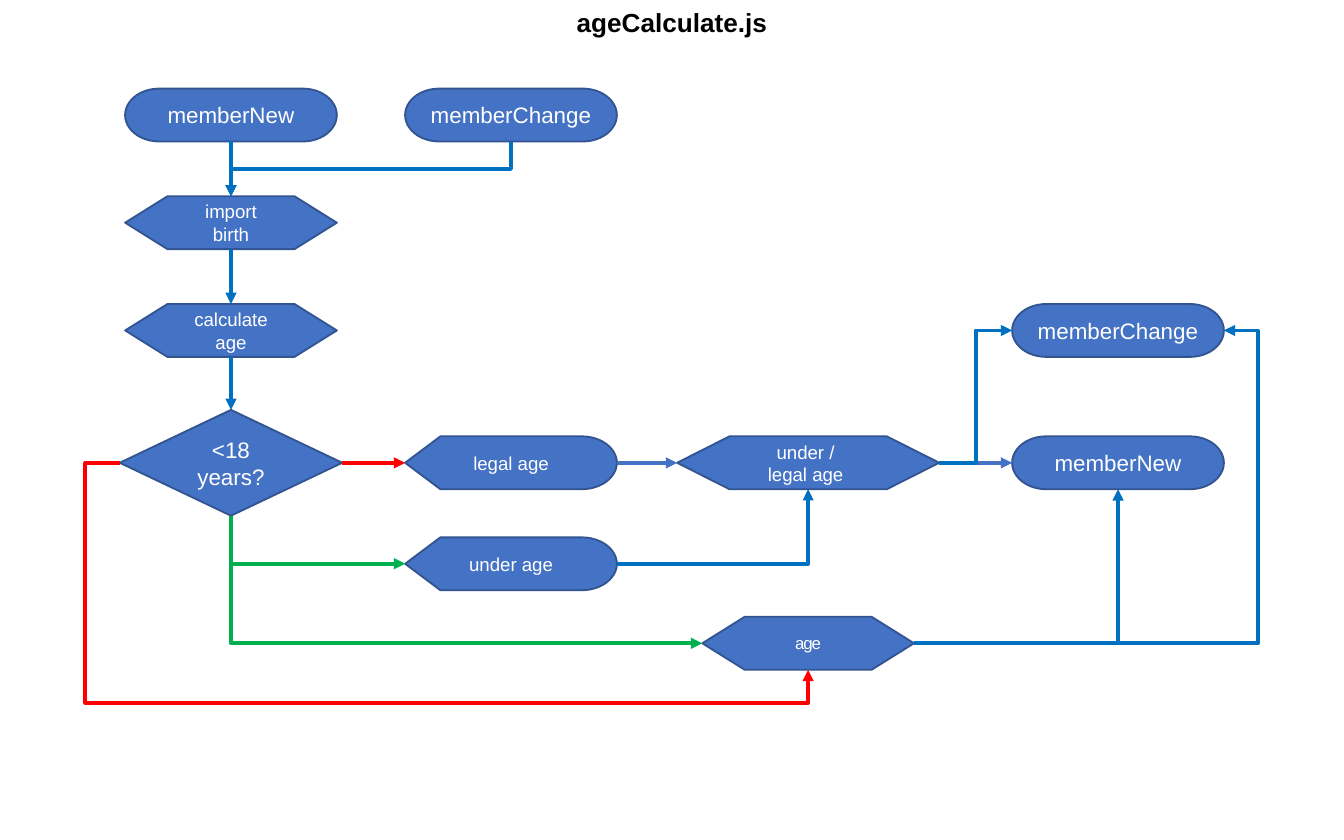
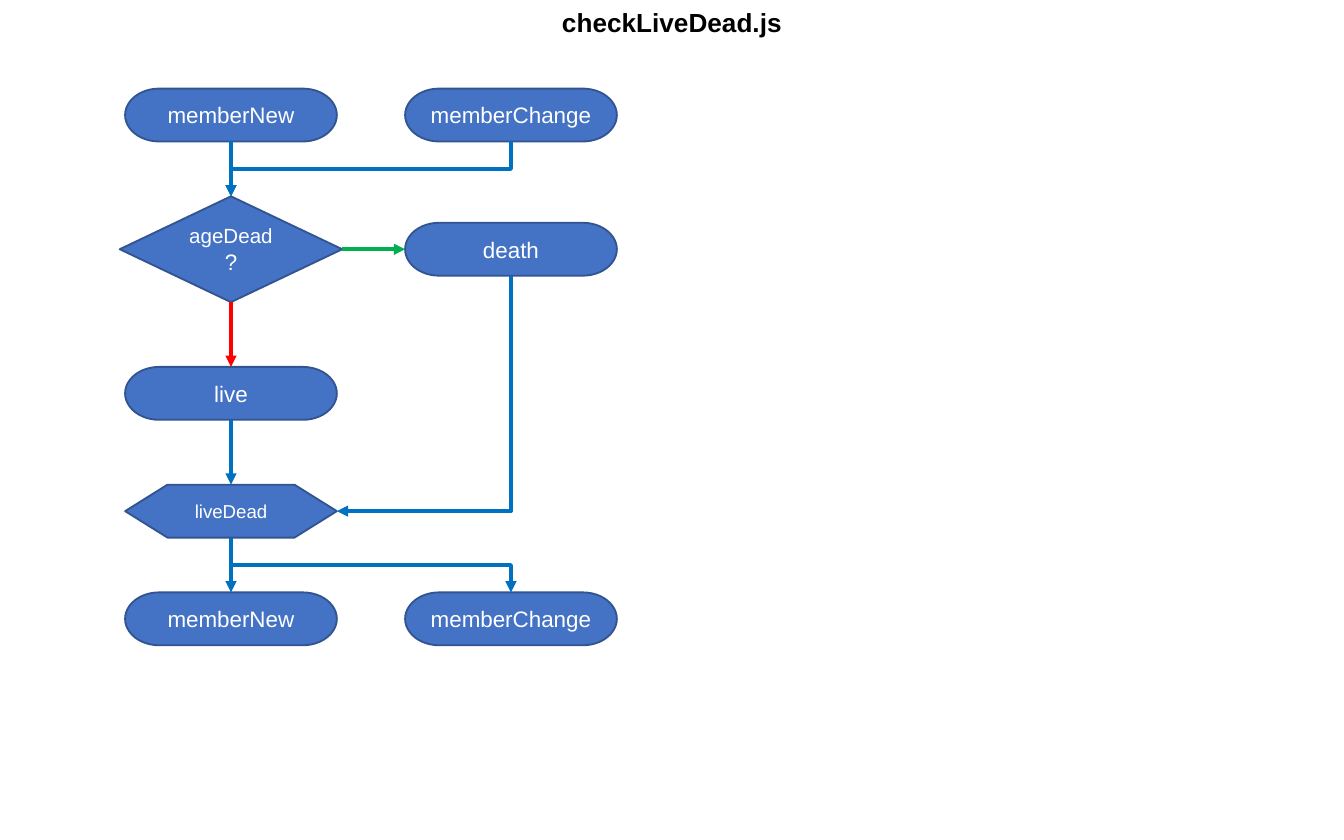
import math
import lxml.etree
import pptx
import pptx.dml.color
import pptx.enum.shapes
import pptx.enum.text
import pptx.oxml.ns
import pptx.util

Pt = pptx.util.Pt
RGB = pptx.dml.color.RGBColor
KIND = pptx.enum.shapes.MSO_SHAPE
ALIGN = pptx.enum.text.PP_ALIGN
qn = pptx.oxml.ns.qn

FILL = RGB(0x44, 0x72, 0xC4)
EDGE = RGB(0x32, 0x54, 0x91)
BLUE = RGB(0x00, 0x70, 0xC0)
RED = RGB(0xFF, 0x00, 0x00)
GREEN = RGB(0x00, 0xB0, 0x50)
WHITE = RGB(0xFF, 0xFF, 0xFF)
BLACK = RGB(0x00, 0x00, 0x00)
FONT = "Arial"

END = KIND.FLOWCHART_TERMINATOR
STEP = KIND.FLOWCHART_PREPARATION
TEST = KIND.FLOWCHART_DECISION
SHOW = KIND.FLOWCHART_DISPLAY

# Connection sites of the flowchart shapes
TOP, LEFT, BOTTOM, RIGHT = range(4)

# Boxes are left, top, width, height in points
HEAD = (0, 0, 720, 24.5)
BODY = (67.05, 47.45, 590, 330)

WIDE, TALL = 113.4, 28.35
COL_A, COL_B, COL_C, COL_D = 56.7, 206.7, 365.9, 531.9
ROW = 14.2    # middle of the first row
STEP_Y = 57.7    # distance between closely stacked rows


def style(para, size, color, bold=False):
    para.alignment = ALIGN.CENTER
    para.font.name = FONT
    para.font.size = Pt(size)
    para.font.color.rgb = color
    para.font.bold = bold


def title(page, box, text):
    frame = page.shapes.add_textbox(*map(Pt, box)).text_frame
    frame.word_wrap = True
    frame.auto_size = pptx.enum.text.MSO_AUTO_SIZE.SHAPE_TO_FIT_TEXT
    frame.text = text
    style(frame.paragraphs[0], 14, BLACK, True)


def node(page, box, kind, text, x, y, size=12, wide=WIDE, tall=TALL):
    """Add a flowchart shape whose middle is at x, y within the box."""
    shape = page.shapes.add_shape(
        kind, Pt(box[0] + x - wide / 2), Pt(box[1] + y - tall / 2),
        Pt(wide), Pt(tall))
    shape.shadow.inherit = False
    shape.fill.solid()
    shape.fill.fore_color.rgb = FILL
    shape.line.color.rgb = EDGE
    shape.line.width = Pt(1)
    frame = shape.text_frame
    frame.word_wrap = True
    frame.vertical_anchor = pptx.enum.text.MSO_ANCHOR.MIDDLE
    frame.text = text
    for para in frame.paragraphs:
        style(para, size, WHITE)
    return shape


def test(page, box, text, x, y, size=12):
    return node(page, box, TEST, text, x, y, size, 119.2, 56.7)


def bend(line, side, turns):
    """Make a straight connector an elbow that leaves from the given side."""
    dx = line.end_x - line.begin_x
    dy = line.end_y - line.begin_y
    mid_x = line.begin_x + dx / 2
    mid_y = line.begin_y + dy / 2
    angle = {RIGHT: 0, LEFT: 180, BOTTOM: 270 if dx > 0 else 90}[side]
    cos = round(math.cos(math.radians(angle)))
    sin = round(math.sin(math.radians(angle)))
    wide, tall = dx * cos + dy * sin, dy * cos - dx * sin
    line.begin_x, line.end_x = int(mid_x - wide / 2), int(mid_x + wide / 2)
    line.begin_y, line.end_y = int(mid_y - tall / 2), int(mid_y + tall / 2)

    props = line._element.spPr
    if angle:
        props.find(qn("a:xfrm")).set("rot", str(angle * 60000))
    geom = props.find(qn("a:prstGeom"))
    geom.set("prst", f"bentConnector{2 + len(turns)}")
    for num, turn in enumerate(turns, 1):
        lxml.etree.SubElement(geom.find(qn("a:avLst")), qn("a:gd"),
                              name=f"adj{num}",
                              fmla=f"val {round(turn * 100000)}")


def link(page, start, out, end, into, color=BLUE, turns=()):
    """Join two shapes with an arrow; turns place the inner legs."""
    line = page.shapes.add_connector(
        pptx.enum.shapes.MSO_CONNECTOR.STRAIGHT, 0, 0, 0, 0)
    line.begin_connect(start, out)
    line.end_connect(end, into)
    dx, dy = line.end_x - line.begin_x, line.end_y - line.begin_y
    if min(abs(dx), abs(dy)) > Pt(1):
        bend(line, out, turns)
    line.line.color.rgb = color
    line.line.width = Pt(2)
    props = line._element.spPr
    lxml.etree.SubElement(props.find(qn("a:ln")), qn("a:tailEnd"),
                          type="triangle")
    lxml.etree.SubElement(props, qn("a:effectLst"))


def pair(page, box, y):
    """Add the row of both member forms."""
    return (node(page, box, END, "memberNew", COL_A, y),
            node(page, box, END, "memberChange", COL_B, y))


def merge(page, forms, goal):
    new, change = forms
    link(page, new, BOTTOM, goal, TOP)
    link(page, change, BOTTOM, goal, TOP, turns=[0.5])


def age_flow(page, box):
    mid, low, base = 200.5, 254.6, 297.2
    forms = pair(page, box, ROW)
    birth = node(page, box, STEP, "import\nbirth", COL_A, ROW + STEP_Y, 10)
    calc = node(page, box, STEP, "calculate age", COL_A, ROW + 2 * STEP_Y, 10)
    years = test(page, box, "<18 years?", COL_A, mid)
    legal = node(page, box, SHOW, "legal age", COL_B, mid, 10)
    under = node(page, box, SHOW, "under age", COL_B, low, 10)
    both = node(page, box, STEP, "under / \nlegal age ", COL_C, mid, 10, 140.4)
    age = node(page, box, STEP, "age", COL_C, base, 9)
    run = age.text_frame.paragraphs[0].runs[0]
    run._r.get_or_add_rPr().set("spc", "-60")
    new = node(page, box, END, "memberNew", COL_D, mid)
    change = node(page, box, END, "memberChange", COL_D, ROW + 2 * STEP_Y)

    merge(page, forms, birth)
    link(page, birth, BOTTOM, calc, TOP)
    link(page, calc, BOTTOM, years, TOP)
    link(page, years, RIGHT, legal, LEFT, RED)
    link(page, years, BOTTOM, under, LEFT, GREEN)
    link(page, years, BOTTOM, age, LEFT, GREEN)
    link(page, years, LEFT, age, BOTTOM, RED, [-0.05, 1.16])
    link(page, legal, RIGHT, both, LEFT, FILL)
    link(page, under, RIGHT, both, BOTTOM)
    link(page, both, RIGHT, new, LEFT, FILL)
    link(page, both, RIGHT, change, LEFT, turns=[0.5])
    link(page, age, RIGHT, new, BOTTOM)
    link(page, age, RIGHT, change, RIGHT, turns=[1.11])


def live_flow(page, box):
    mid, result = 86.1, 226.4
    forms = pair(page, box, ROW)
    dead = test(page, box, "ageDead ", COL_A, mid, 11)
    mark = dead.text_frame.paragraphs[0].add_run()
    mark.text = "?"
    mark.font.size = Pt(12)
    death = node(page, box, END, "death", COL_B, mid)
    live = node(page, box, END, "live", COL_A, 163.3)
    state = node(page, box, STEP, "liveDead", COL_A, result, 10)
    new, change = pair(page, box, result + STEP_Y)

    merge(page, forms, dead)
    link(page, dead, RIGHT, death, LEFT, GREEN)
    link(page, dead, BOTTOM, live, TOP, RED)
    link(page, death, BOTTOM, state, RIGHT)
    link(page, live, BOTTOM, state, TOP)
    link(page, state, BOTTOM, new, TOP)
    link(page, state, BOTTOM, change, TOP, turns=[0.5])


def main():
    deck = pptx.Presentation()
    deck.slide_width, deck.slide_height = Pt(720), Pt(450)
    for name, flow in (("ageCalculate.js", age_flow),
                       ("checkLiveDead.js", live_flow)):
        page = deck.slides.add_slide(deck.slide_layouts[6])
        title(page, HEAD, name)
        flow(page, BODY)
    deck.save("out.pptx")


if __name__ == "__main__":
    main()
